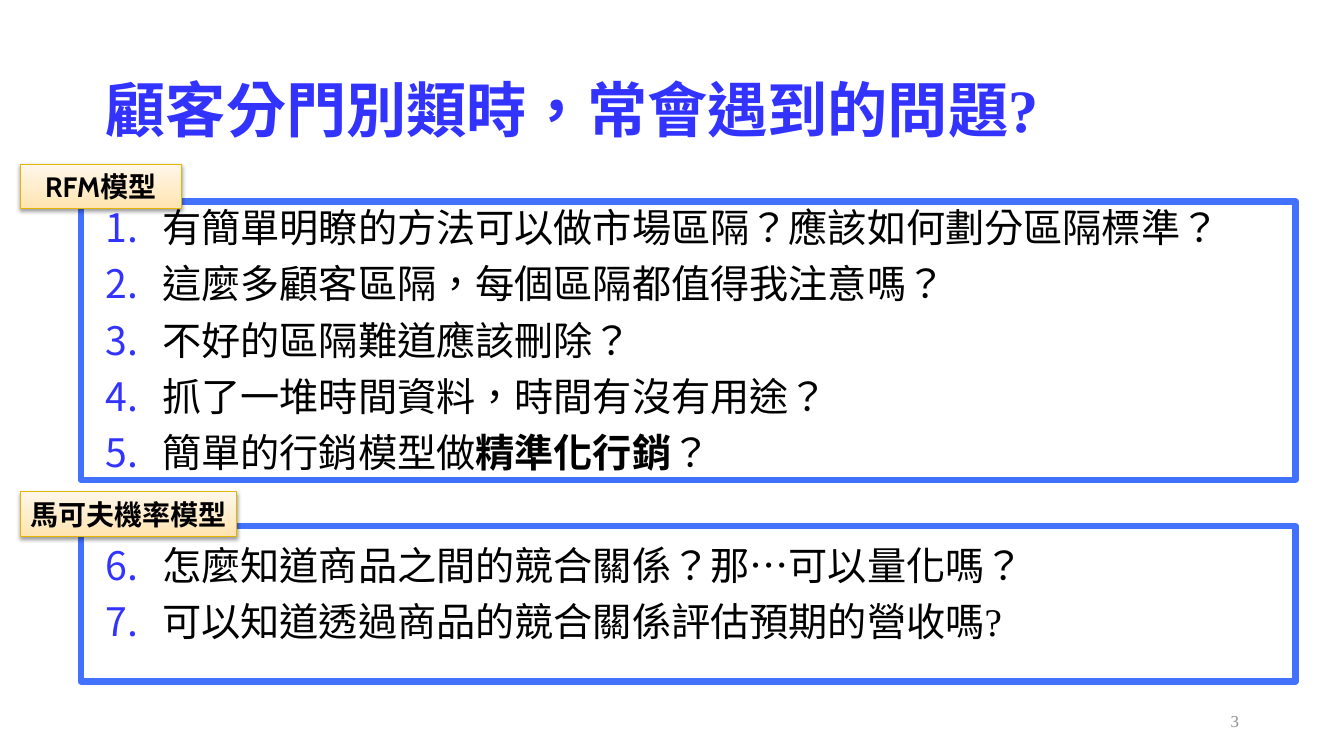
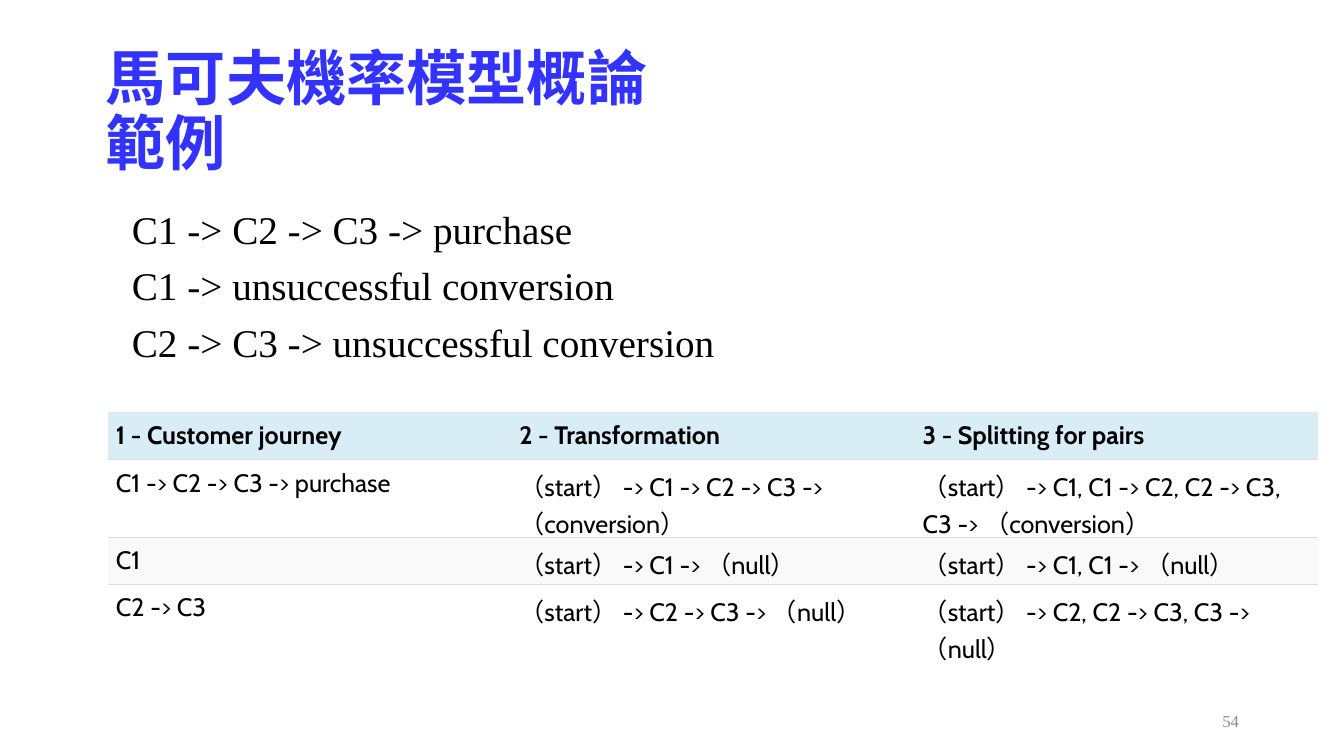
from lxml.etree import SubElement
from pptx import Presentation
from pptx.dml.color import RGBColor
from pptx.enum.lang import MSO_LANGUAGE_ID as LANG
from pptx.enum.shapes import MSO_SHAPE as SHAPE
from pptx.enum.text import MSO_ANCHOR as ANCHOR, PP_ALIGN as ALIGN
from pptx.oxml import parse_xml
from pptx.oxml.ns import nsdecls, qn
from pptx.util import Pt

PX = 9144  # 100 px to the inch
BLUE, FRAME, BLACK, GREY = "3333FF", "4271FD", "000000", "8C8C8C"
SERIF, SANS = "Times New Roman", "Cabin"
NO_STYLE = "{2D5ABB26-0587-4C30-8999-92F81FD0307C}"


def color(code):
    return RGBColor.from_string(code)


def write(frame, lines, size, code=BLACK, face=SERIF, bold=False, align=None,
          spacing=None, inset=(13, 7), anchor=ANCHOR.TOP, first_number=None):
    """Fill a frame with paragraphs; **marks** set bold words."""
    frame.word_wrap = True
    frame.vertical_anchor = anchor
    frame.margin_left = frame.margin_right = inset[0] * PX
    frame.margin_top = frame.margin_bottom = inset[1] * PX
    for index, line in enumerate(lines):
        para = frame.add_paragraph() if index else frame.paragraphs[0]
        if "**" in line:
            for part, words in enumerate(line.split("**")):
                span = para.add_run()
                span.text = words
                if part % 2:
                    span.font.bold = True
        else:
            para.text = line
        para.alignment = align
        para.line_spacing = spacing
        if index:
            para.space_before = Pt(10)
        if first_number:
            props = para._p.get_or_add_pPr()
            props.set("marL", str(56 * PX))
            props.set("indent", str(-56 * PX))
            bullet_color = SubElement(props, qn("a:buClr"))
            SubElement(bullet_color, qn("a:srgbClr"), val=BLUE)
            SubElement(props, qn("a:buAutoNum"), type="arabicPeriod",
                       startAt=str(first_number))
        font = para.font
        font.name, font.size, font.bold = face, Pt(size), bold
        font.color.rgb = color(code)
        font.language_id = LANG.TRADITIONAL_CHINESE


deck = Presentation()
deck.slide_width, deck.slide_height = 1333 * PX, 750 * PX

# Title and page number of every page
pages = []
for title, number in [("顧客分門別類時，常會遇到的問題?", "3"),
                      ("馬可夫機率模型概論\n範例", "54")]:
    page = deck.slides.add_slide(deck.slide_layouts[6])
    box = page.shapes.add_textbox(92 * PX, 40 * PX, 1150 * PX, 145 * PX)
    write(box.text_frame, [title], 43, BLUE, bold=True, spacing=0.9,
          anchor=ANCHOR.MIDDLE)
    box = page.shapes.add_textbox(942 * PX, 695 * PX, 300 * PX, 40 * PX)
    write(box.text_frame, [number], 12, GREY, align=ALIGN.RIGHT,
          anchor=ANCHOR.MIDDLE)
    pages.append(page)
questions_page, example_page = pages

# Questions grouped by model: label, label width, label top, frame top,
# frame height, text top, first number, questions
groups = [
    ("RFM模型", 160, 163, 200, 276, 200, 1, [
        "有簡單明瞭的方法可以做市場區隔？應該如何劃分區隔標準？",
        "這麼多顧客區隔，每個區隔都值得我注意嗎？",
        "不好的區隔難道應該刪除？",
        "抓了一堆時間資料，時間有沒有用途？",
        "簡單的行銷模型做**精準化行銷**？"]),
    ("馬可夫機率模型", 215, 488, 522, 154, 535, 6, [
        "怎麼知道商品之間的競合關係？那…可以量化嗎？",
        "可以知道透過商品的競合關係評估預期的營收嗎?"]),
]
shapes = questions_page.shapes
for (name, label_width, label_top, frame_top, frame_height,
     text_top, first_number, questions) in groups:
    box = shapes.add_textbox(92 * PX, text_top * PX, 1150 * PX,
                             56 * len(questions) * PX)
    write(box.text_frame, questions, 28, spacing=0.9,
          first_number=first_number)

    border = shapes.add_shape(SHAPE.RECTANGLE, 80 * PX, frame_top * PX,
                              1205 * PX, frame_height * PX)
    border.shadow.inherit = False
    border.fill.background()
    border.line.color.rgb = color(FRAME)
    border.line.width = Pt(4.5)

    label = shapes.add_shape(SHAPE.RECTANGLE, 20 * PX, label_top * PX,
                             label_width * PX, 44 * PX)
    label.fill.gradient()
    label.fill.gradient_angle = 90
    for stop, code in zip(label.fill.gradient_stops, ("FFE4B1", "FFF7EA")):
        stop.color.rgb = color(code)
    label.line.color.rgb = color("E3B700")
    label.line.width = Pt(0.75)
    label.shadow.inherit = False
    label._element.spPr.find(qn("a:effectLst")).append(parse_xml(
        f'<a:outerShdw {nsdecls("a")} blurRad="{Pt(3.1)}" dist="{Pt(1.6)}" '
        'dir="5400000" rotWithShape="0"><a:srgbClr val="000000">'
        '<a:alpha val="38000"/></a:srgbClr></a:outerShdw>'))
    write(label.text_frame, [name], 20, face=SANS, bold=True,
          align=ALIGN.CENTER, inset=(10, 5), anchor=ANCHOR.MIDDLE)
    label.text_frame.word_wrap = False

# Example journeys
box = example_page.shapes.add_textbox(121 * PX, 204 * PX, 667 * PX, 165 * PX)
write(box.text_frame, ["C1 -> C2 -> C3 -> purchase",
                       "C1 -> unsuccessful conversion",
                       "C2 -> C3 -> unsuccessful conversion"],
      28, spacing=0.9, inset=(10, 5))

# Table: row height, fill, texts
rows = [
    (47, "D9EDF7", ["1 - Customer journey", "2 - Transformation",
                    "3 - Splitting for pairs"]),
    (77, "FFFFFF", ["C1 -> C2 -> C3 -> purchase",
                    "（start） -> C1 -> C2 -> C3 -> （conversion）",
                    "（start） -> C1, C1 -> C2, C2 -> C3, C3 -> （conversion）"]),
    (47, "F9F9F9", ["C1", "（start） -> C1 -> （null）",
                    "（start） -> C1, C1 -> （null）"]),
    (76, "FFFFFF", ["C2 -> C3", "（start） -> C2 -> C3 -> （null）",
                    "（start） -> C2, C2 -> C3, C3 -> （null）"]),
]
table = example_page.shapes.add_table(len(rows), 3, 107 * PX, 409 * PX,
                                      1200 * PX, 247 * PX).table
table._tbl.tblPr.find(qn("a:tableStyleId")).text = NO_STYLE
table.first_row = table.horz_banding = False
for r, (height, fill, texts) in enumerate(rows):
    table.rows[r].height = height * PX
    for c, text in enumerate(texts):
        cell = table.cell(r, c)
        cell.margin_left = cell.margin_right = 8 * PX
        cell.margin_top = cell.margin_bottom = 8 * PX
        cell.vertical_anchor = ANCHOR.TOP if r else ANCHOR.MIDDLE
        cell.fill.solid()
        cell.fill.fore_color.rgb = color(fill)
        if r < len(rows) - 1:
            cell._tc.get_or_add_tcPr().insert(0, parse_xml(
                f'<a:lnB {nsdecls("a")} w="{Pt(0.75)}"><a:solidFill>'
                '<a:srgbClr val="DDDDDD"/></a:solidFill></a:lnB>'))
        para = cell.text_frame.paragraphs[0]
        para.text = text
        font = para.font
        font.name, font.size, font.bold = SANS, Pt(18), r == 0
        font.color.rgb = color(BLACK)
        font.language_id = LANG.TRADITIONAL_CHINESE

deck.save("out.pptx")
